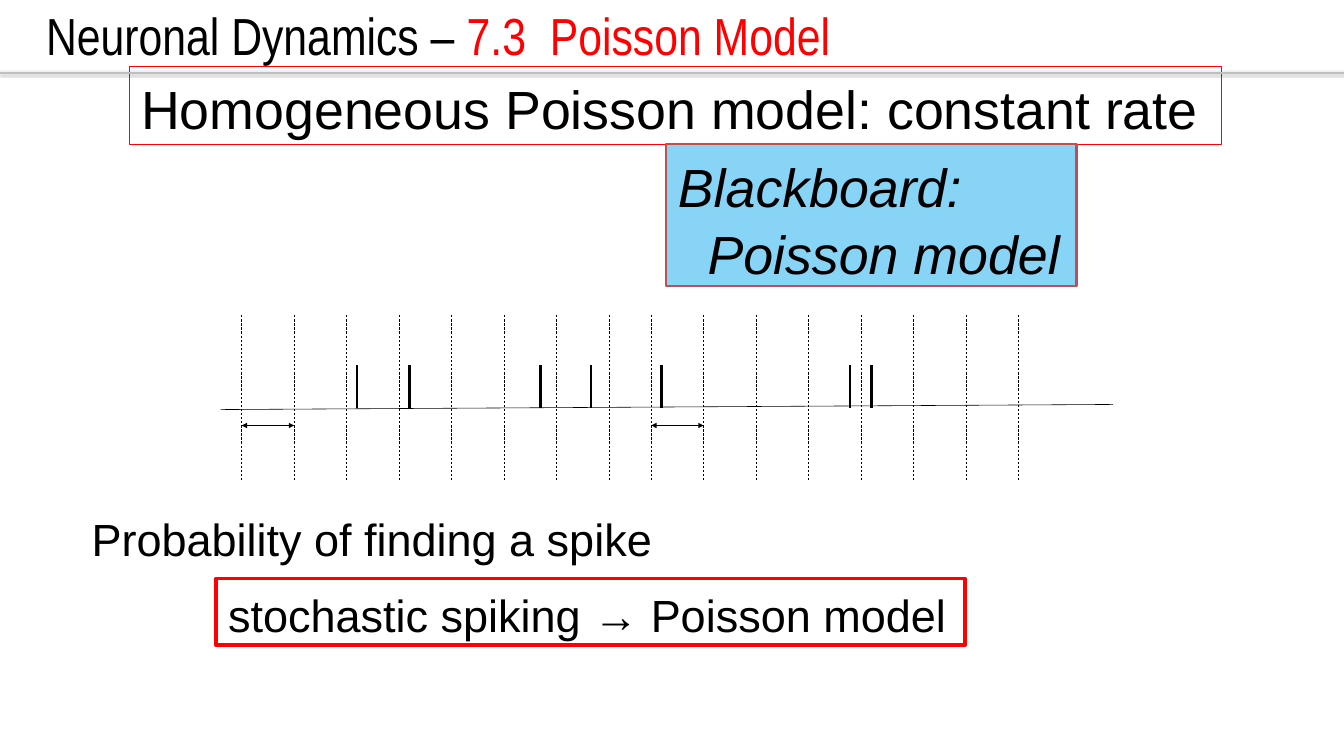
"""Build the slide on the homogeneous Poisson model."""
import pptx
import pptx.util
import pptx.oxml
import pptx.oxml.ns
import pptx.dml.color
import pptx.enum.dml
import pptx.enum.shapes
import pptx.enum.text

Inches, Pt = pptx.util.Inches, pptx.util.Pt
qn = pptx.oxml.ns.qn
COLORS = {"ink": "000000", "red": "FF0000", "sky": "87D4F7",
          "brick": "C0504D", "rule": "BFBFBF"}
BODY = {"name": "Arial", "size": Pt(57)}
HEADING = {"name": "Arial", "size": Pt(68)}
BOARD = {**HEADING, "italic": True}
TITLE = {"name": "Arial Narrow", "size": Pt(66)}
BIN_WIDTH = 0.923
BIN_STARTS = (4.25, 11.45)
BINS_PER_BLOCK = 8
SPIKES = (6.28, 7.2, 9.5, 10.39, 11.63, 14.95, 15.32)


def rgb(color):
    return pptx.dml.color.RGBColor.from_string(COLORS[color])


def set_attrs(obj, values):
    for key, value in values.items():
        setattr(obj, key, value)


def fill_text(sp, paragraphs, font, margins=(0.21, 0.11), spacing=1.0, indent=0):
    tf = sp.text_frame
    x, y = map(Inches, margins)
    set_attrs(tf, {"word_wrap": True, "margin_left": x, "margin_right": x,
                   "margin_top": y, "margin_bottom": y,
                   "vertical_anchor": pptx.enum.text.MSO_ANCHOR.TOP})
    for i, runs in enumerate(paragraphs):
        p = tf.add_paragraph() if i else tf.paragraphs[0]
        set_attrs(p, {"alignment": pptx.enum.text.PP_ALIGN.LEFT, "line_spacing": spacing})
        if i and indent:
            p._p.get_or_add_pPr().set("marL", str(Inches(indent)))
        for text, color in runs:
            r = p.add_run()
            r.text = text
            set_attrs(r.font, font)
            r.font.color.rgb = rgb(color)


def add_text(s, box, runs, font, **layout):
    sp = s.shapes.add_textbox(*map(Inches, box))
    fill_text(sp, [runs], font, **layout)


def add_frame(s, box, lines, font, line, width, fill=None, indent=0):
    sp = s.shapes.add_shape(pptx.enum.shapes.MSO_SHAPE.RECTANGLE, *map(Inches, box))
    sp.shadow.inherit = False
    if fill:
        sp.fill.solid()
        sp.fill.fore_color.rgb = rgb(fill)
    else:
        sp.fill.background()
    sp.line.color.rgb = rgb(line)
    sp.line.width = Pt(width)
    fill_text(sp, [[(text, "ink")] for text in lines], font, spacing=1.05, indent=indent)


def add_line(s, start, end, width, color="ink", dash=False, arrows=False):
    c = s.shapes.add_connector(pptx.enum.shapes.MSO_CONNECTOR.STRAIGHT,
                               *map(Inches, start + end))
    c.line.color.rgb = rgb(color)
    c.line.width = Pt(width)
    if dash:
        c.line.dash_style = pptx.enum.dml.MSO_LINE.DASH
    if arrows:
        ln = c.line._get_or_add_ln()
        for tag in ("a:headEnd", "a:tailEnd"):
            ln.append(ln.makeelement(qn(tag), {"type": "triangle"}))
    effects = c._element.spPr.makeelement(qn("a:effectLst"), {})
    c._element.spPr.append(effects)
    return effects


def add_rule(s):
    effects = add_line(s, (0, 1.28), (23.63, 1.28), 2, "rule")
    effects.append(pptx.oxml.parse_xml(
        f'<a:outerShdw {pptx.oxml.ns.nsdecls("a")} blurRad="{Pt(3.1)}" dist="{Pt(1.6)}" '
        f'dir="5400000" rotWithShape="0"><a:srgbClr val="{COLORS["ink"]}">'
        '<a:alpha val="38000"/></a:srgbClr></a:outerShdw>'))


def add_spike_train(s):
    add_line(s, (3.88, 7.2), (19.57, 7.11), 0.75)
    for x in SPIKES:
        add_line(s, (x, 6.42), (x, 7.17), 3)


def add_time_bins(s):
    for start in BIN_STARTS:
        add_line(s, (start, 7.48), (start + BIN_WIDTH, 7.48), 2.25, arrows=True)
        for i in range(BINS_PER_BLOCK):
            x = start + i * BIN_WIDTH
            add_line(s, (x, 5.54), (x, 8.45), 0.75, dash=True)


def main():
    prs = pptx.Presentation()
    prs.slide_width, prs.slide_height = Inches(23.63), Inches(13.29)
    s = prs.slides.add_slide(prs.slide_layouts[6])
    add_frame(s, (2.27, 1.17, 19.21, 1.36),
              ["Homogeneous Poisson model: constant rate"], HEADING, "red", 0.75)
    add_frame(s, (3.8, 10.17, 13.17, 1.17),
              ["stochastic spiking → Poisson model"], BODY, "red", 4.5)
    add_frame(s, (11.71, 2.53, 7.22, 2.5), ["Blackboard:", "Poisson model"],
              BOARD, "brick", 3, fill="sky", indent=0.52)
    add_spike_train(s)
    add_time_bins(s)
    add_text(s, (1.4, 8.88, 11.4, 1.06), [("Probability of finding a spike", "ink")], BODY)
    add_text(s, (0.76, -0.04, 22.81, 1.61),
             [("Neuronal Dynamics – ", "ink"), ("7.3  Poisson Model", "red")],
             TITLE, margins=(0.05, 0.1))
    add_rule(s)
    prs.save("out.pptx")


if __name__ == "__main__":
    main()
